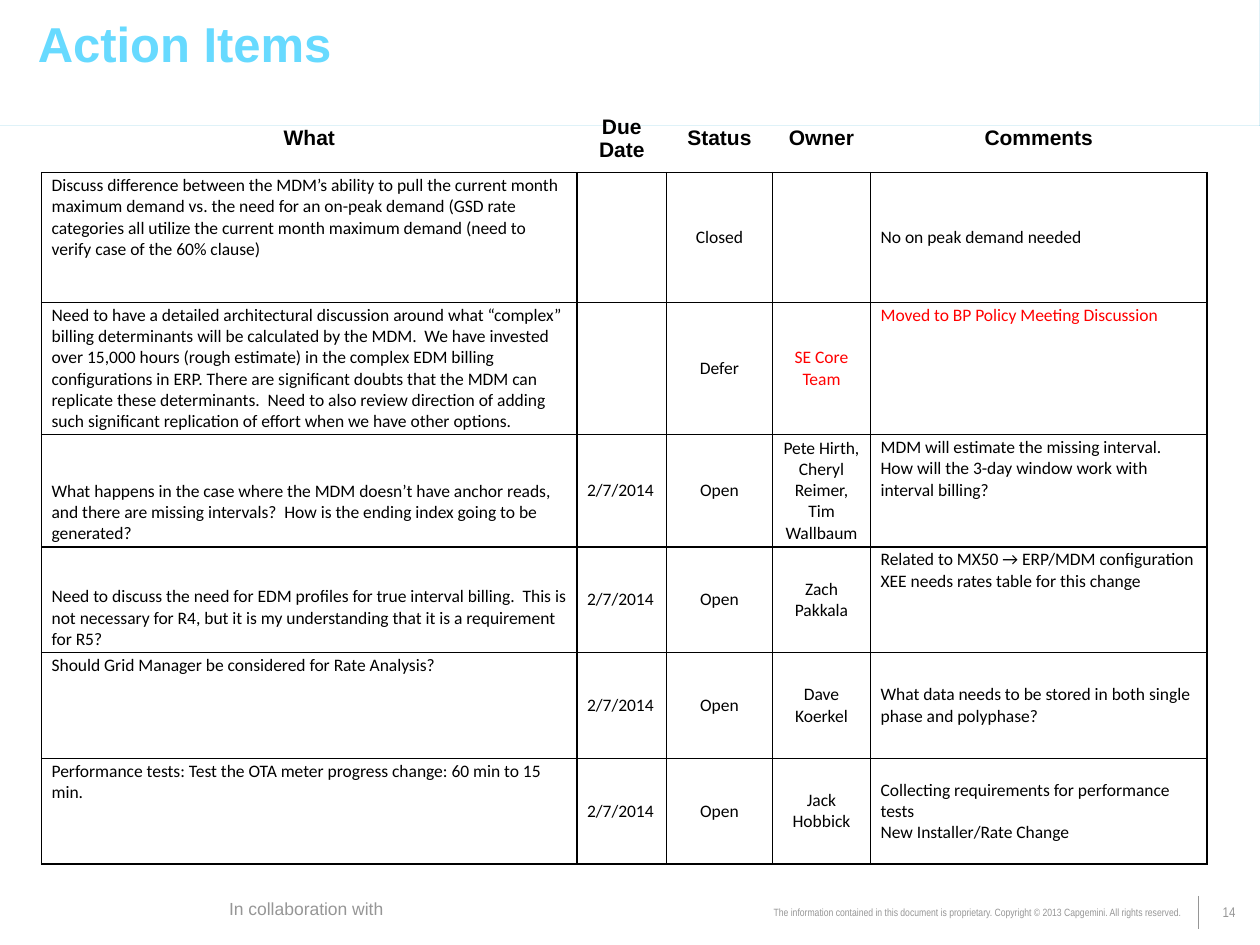
from dataclasses import dataclass

from lxml.etree import SubElement
from pptx import Presentation
from pptx.dml.color import RGBColor
from pptx.enum.shapes import MSO_CONNECTOR
from pptx.enum.text import MSO_ANCHOR as ANCHOR, MSO_AUTO_SIZE, PP_ALIGN as ALIGN
from pptx.oxml import parse_xml
from pptx.oxml.ns import nsdecls, qn
from pptx.util import Inches, Pt

BLACK = RGBColor(0x00, 0x00, 0x00)
RED = RGBColor(0xFF, 0x00, 0x00)
GREY = RGBColor(0x96, 0x96, 0x96)
BLUE = RGBColor(0x00, 0x9A, 0xCC)
TITLE_STOPS = [(0, RGBColor(0x26, 0x73, 0x8A)),
               (78, RGBColor(0x67, 0xDA, 0xFF)),
               (100, RGBColor(0xF1, 0xFB, 0xFF))]

HEADERS = ["What", "Due Date", "Status", "Owner", "Comments"]
COLUMN_WIDTHS = [4.25, 0.71, 0.84, 0.78, 2.67]
ROW_HEIGHTS = [0.54, 1.03, 1.05, 0.89] + [0.84] * 3


@dataclass
class ActionItem:
    what: str
    due: str
    status: str
    owner: str
    comments: str
    what_anchor: ANCHOR = ANCHOR.TOP
    comments_anchor: ANCHOR = ANCHOR.MIDDLE
    note_color: RGBColor = BLACK


ITEMS = [
    ActionItem(
        "Discuss difference between the MDM’s ability to pull the current month maximum "
        "demand vs. the need for an on-peak demand (GSD rate categories all utilize the "
        "current month maximum demand (need to verify case of the 60% clause)",
        "", "Closed", "", "No on peak demand needed"),
    ActionItem(
        "Need to have a detailed architectural discussion around what “complex” billing "
        "determinants will be calculated by the MDM.  We have invested over 15,000 hours "
        "(rough estimate) in the complex EDM billing configurations in ERP. There are "
        "significant doubts that the MDM can replicate these determinants.  Need to also "
        "review direction of adding such significant replication of effort when we have "
        "other options.",
        "", "Defer", "SE Core Team", "Moved to BP Policy Meeting Discussion",
        ANCHOR.BOTTOM, ANCHOR.TOP, RED),
    ActionItem(
        "What happens in the case where the MDM doesn’t have anchor reads, and there are "
        "missing intervals?  How is the ending index going to be generated?",
        "2/7/2014", "Open", "Pete Hirth, Cheryl Reimer, Tim Wallbaum",
        "MDM will estimate the missing interval.\n"
        "How will the 3-day window work with interval billing?",
        ANCHOR.BOTTOM, ANCHOR.TOP),
    ActionItem(
        "Need to discuss the need for EDM profiles for true interval billing.  This is not "
        "necessary for R4, but it is my understanding that it is a requirement for R5?",
        "2/7/2014", "Open", "Zach Pakkala",
        "Related to MX50 → ERP/MDM configuration\nXEE needs rates table for this change",
        ANCHOR.BOTTOM, ANCHOR.TOP),
    ActionItem(
        "Should Grid Manager be considered for Rate Analysis?",
        "2/7/2014", "Open", "Dave Koerkel",
        "What data needs to be stored in both single phase and polyphase?"),
    ActionItem(
        "Performance tests: Test the OTA meter progress change: 60 min to 15 min.",
        "2/7/2014", "Open", "Jack Hobbick",
        "Collecting requirements for performance tests\nNew Installer/Rate Change"),
]


def format_text(text_frame, font_name, size, color, align=ALIGN.LEFT, bold=False, spacing=None):
    for paragraph in text_frame.paragraphs:
        paragraph.alignment = align
        paragraph.line_spacing = spacing
        for run in paragraph.runs:
            run.font.name, run.font.size, run.font.bold = font_name, Pt(size), bold
            run.font.color.rgb = color


def bezier(start, control_1, control_2, end, steps=24):
    """Points along a cubic curve, without its start."""
    points = []
    for step in range(1, steps + 1):
        t = step / steps
        weights = ((1 - t) ** 3, 3 * t * (1 - t) ** 2, 3 * t * t * (1 - t), t ** 3)
        points.append(tuple(sum(weight * point[axis] for weight, point in
                                zip(weights, (start, control_1, control_2, end)))
                            for axis in (0, 1)))
    return points


def add_wave(slide):
    points = [(0.51, 0.67)]
    points += bezier(points[-1], (0.11, 0.67), (0, 1.04), (0, 1.09))
    points += bezier(points[-1], (0, 1.09), (0.11, 0.74), (0.51, 0.74))
    points += [(9.48, 0.74)]
    points += bezier(points[-1], (9.89, 0.74), (10, 0.39), (10, 0.39))
    points += [(10, 0.32)]
    points += bezier(points[-1], (10, 0.32), (9.89, 0.67), (9.48, 0.67))
    builder = slide.shapes.build_freeform(*points[0], scale=Inches(1))
    builder.add_line_segments(points[1:], close=True)
    wave = builder.convert_to_shape()
    wave.fill.solid()
    wave.fill.fore_color.rgb = BLUE
    wave.line.fill.background()
    wave._element.spPr.append(parse_xml(
        f'<a:effectLst {nsdecls("a")}><a:outerShdw blurRad="{Pt(4)}" dist="{Pt(2)}" '
        'dir="5400000" algn="t" rotWithShape="0"><a:srgbClr val="000000">'
        '<a:alpha val="31000"/></a:srgbClr></a:outerShdw></a:effectLst>'))


def add_title(slide, text):
    title = slide.shapes.title
    title.left, title.top, title.width, title.height = map(Inches, (0, 0.03, 9.65, 0.58))
    frame = title.text_frame
    frame.text = text
    frame.auto_size = MSO_AUTO_SIZE.NONE
    frame.vertical_anchor = ANCHOR.MIDDLE
    frame.margin_left, frame.margin_top = Inches(0.3), Inches(0.04)
    frame.margin_right = frame.margin_bottom = 0
    format_text(frame, "Arial", 28, TITLE_STOPS[1][1], bold=True)
    # Gradient lettering in place of the solid colour
    properties = frame.paragraphs[0].runs[0].font._element
    stops = "".join(f'<a:gs pos="{share * 1000}"><a:srgbClr val="{color}"/></a:gs>'
                    for share, color in TITLE_STOPS)
    properties.replace(properties.find(qn("a:solidFill")), parse_xml(
        f'<a:gradFill {nsdecls("a")}><a:gsLst>{stops}</a:gsLst>'
        '<a:lin ang="5400000" scaled="0"/></a:gradFill>'))


def add_footer_text(slide, box, text, font_name, size, align=ALIGN.LEFT,
                    anchor=ANCHOR.TOP, wrap=True):
    frame = slide.shapes.add_textbox(*map(Inches, box)).text_frame
    frame.text = text
    frame.word_wrap = wrap
    frame.vertical_anchor = anchor
    format_text(frame, font_name, size, GREY, align, spacing=0.85)


def add_footer(slide):
    add_footer_text(slide, (1.72, 7.1, 1.43, 0.24), "In collaboration with", "Arial", 10,
                    wrap=False)
    add_footer_text(slide, (9.51, 7.11, 0.49, 0.27), "14", "Arial Narrow", 8,
                    ALIGN.CENTER, ANCHOR.MIDDLE)
    add_footer_text(slide, (4.49, 7.16, 4.98, 0.19),
                    "The information contained in this document is proprietary. "
                    "Copyright © 2013 Capgemini. All rights reserved.",
                    "Arial Narrow", 6, ALIGN.RIGHT)
    divider = slide.shapes.add_connector(MSO_CONNECTOR.STRAIGHT, Inches(9.51), Inches(7.11),
                                         Inches(9.51), Inches(7.37))
    divider.line.color.rgb, divider.line.width = GREY, Pt(0.75)
    SubElement(divider._element.spPr, qn("a:effectLst"))


def set_borders(cell, visible_sides):
    properties = cell._tc.get_or_add_tcPr()
    for index, side in enumerate("LRTB"):
        fill = (f'<a:solidFill><a:srgbClr val="{BLACK}"/></a:solidFill>'
                if side in visible_sides else "<a:noFill/>")
        properties.insert(index, parse_xml(
            f'<a:ln{side} {nsdecls("a")} w="{Pt(1)}">{fill}</a:ln{side}>'))


def fill_cell(cell, text, align, anchor, color=BLACK, header=False):
    cell.text = text
    cell.vertical_anchor = anchor
    cell.fill.background()
    if header:
        format_text(cell.text_frame, "Arial", 12, color, align, bold=True)
    else:
        cell.margin_left = cell.margin_right = Inches(0.08)
        cell.margin_top = cell.margin_bottom = Inches(0.02)
        format_text(cell.text_frame, "Calibri", 10, color, align)
    set_borders(cell, "B" if header else "LRTB")


def add_action_table(slide):
    table = slide.shapes.add_table(
        len(ROW_HEIGHTS), len(COLUMN_WIDTHS), Inches(0.33), Inches(0.83),
        Inches(sum(COLUMN_WIDTHS)), Inches(sum(ROW_HEIGHTS))).table
    table.first_row = table.horz_banding = False
    for column, width in zip(table.columns, COLUMN_WIDTHS):
        column.width = Inches(width)
    for row, height in zip(table.rows, ROW_HEIGHTS):
        row.height = Inches(height)
    for column, header in enumerate(HEADERS):
        fill_cell(table.cell(0, column), header, ALIGN.CENTER, ANCHOR.MIDDLE, header=True)
    for row, item in enumerate(ITEMS, 1):
        contents = [(item.what, ALIGN.LEFT, item.what_anchor),
                    (item.due, ALIGN.LEFT, ANCHOR.MIDDLE),
                    (item.status, ALIGN.CENTER, ANCHOR.MIDDLE),
                    (item.owner, ALIGN.CENTER, ANCHOR.MIDDLE, item.note_color),
                    (item.comments, ALIGN.LEFT, item.comments_anchor, item.note_color)]
        for column, content in enumerate(contents):
            fill_cell(table.cell(row, column), *content)


def main():
    presentation = Presentation()
    presentation.slide_width, presentation.slide_height = Inches(10), Inches(7.5)
    slide = presentation.slides.add_slide(presentation.slide_layouts[5])  # title only
    add_footer(slide)
    add_wave(slide)
    add_title(slide, "Action Items")
    add_action_table(slide)
    presentation.save("out.pptx")


if __name__ == "__main__":
    main()
